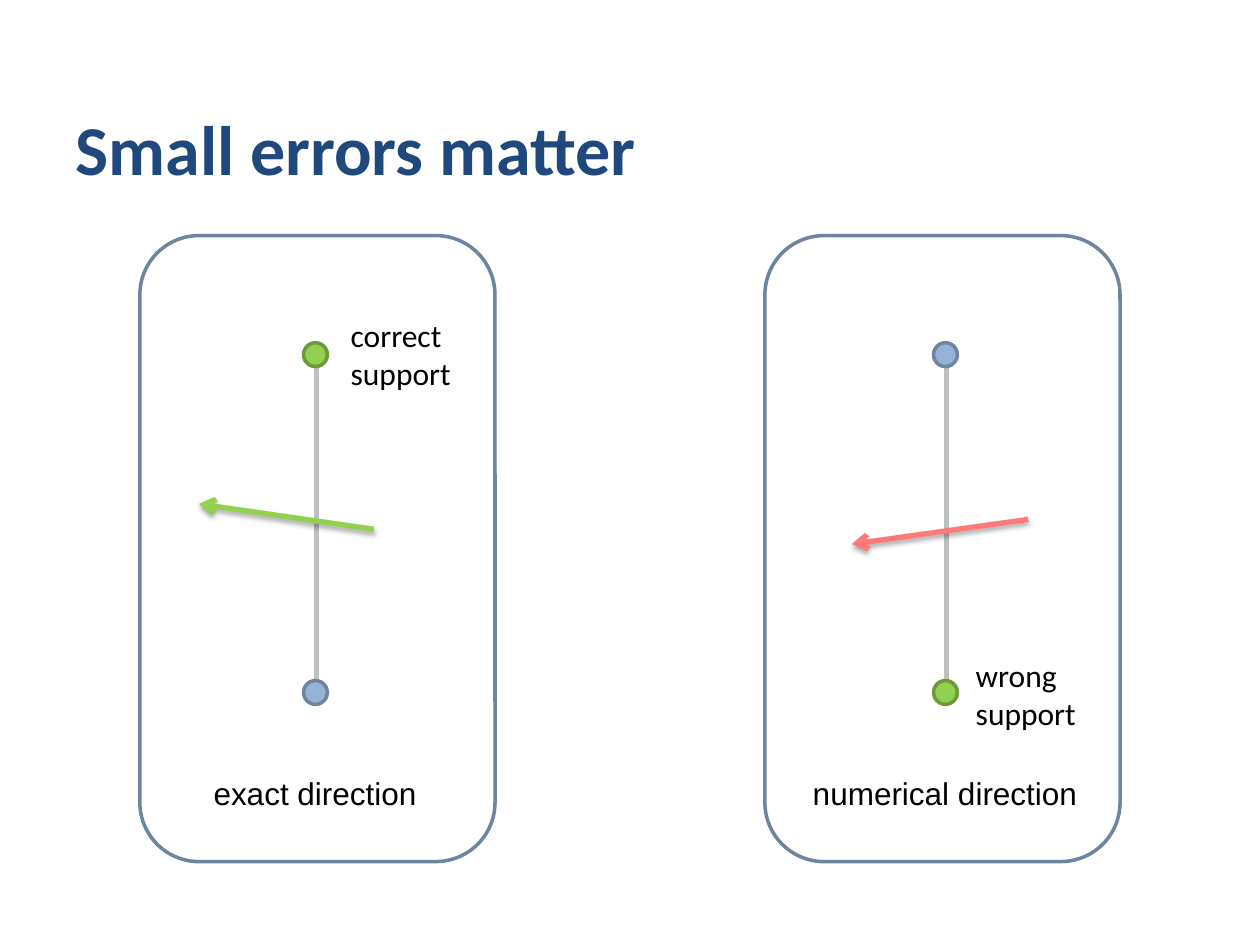
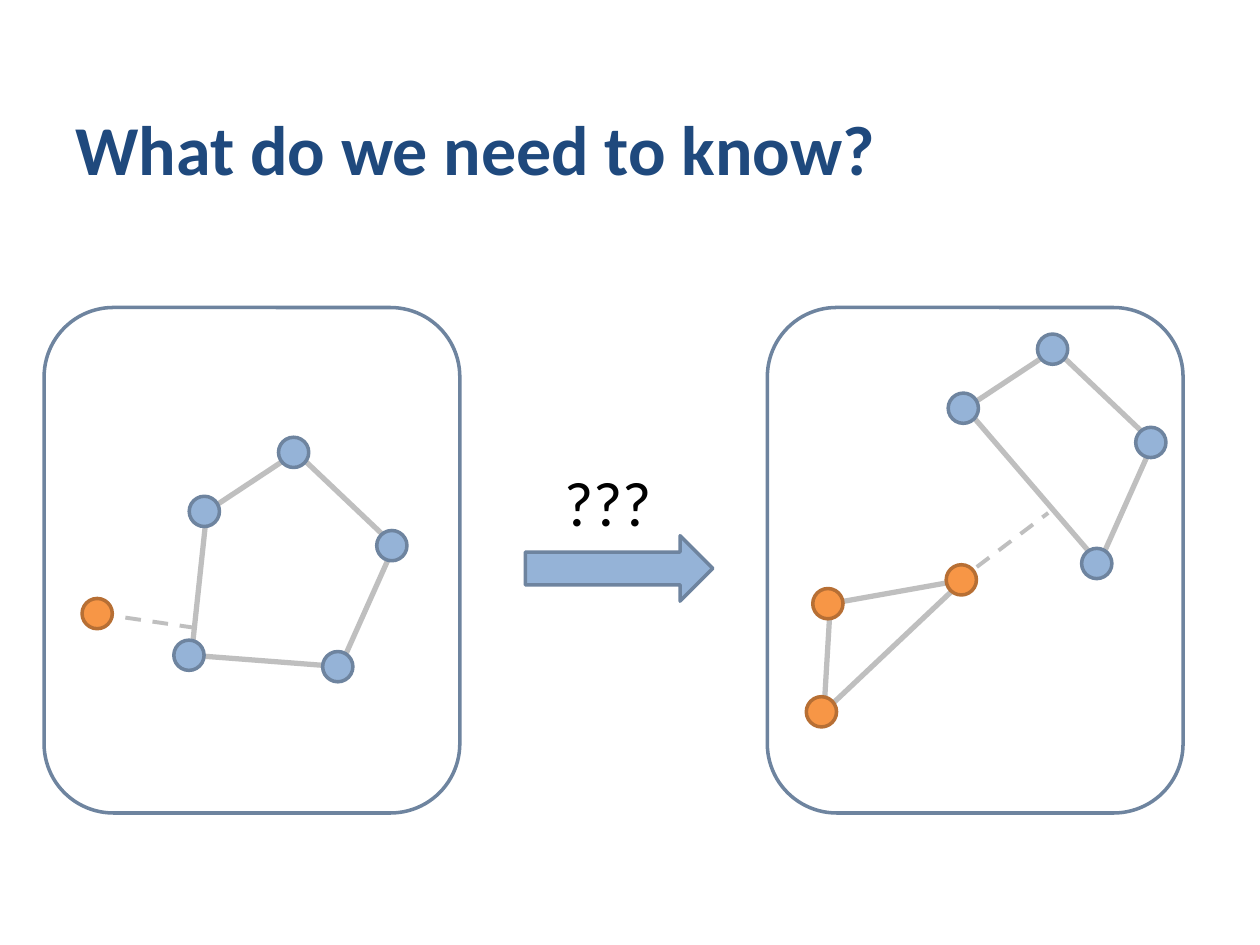
from lxml import etree
from pptx import Presentation
from pptx.dml.color import RGBColor
from pptx.enum.dml import MSO_LINE
from pptx.enum.shapes import MSO_CONNECTOR, MSO_SHAPE
from pptx.enum.text import MSO_ANCHOR, MSO_AUTO_SIZE, PP_ALIGN
from pptx.oxml.ns import qn
from pptx.util import Cm, Pt

STRAIGHT = MSO_CONNECTOR.STRAIGHT
OVAL, ROUNDED, RIGHT_ARROW = MSO_SHAPE.OVAL, MSO_SHAPE.ROUNDED_RECTANGLE, MSO_SHAPE.RIGHT_ARROW
DASH = MSO_LINE.DASH
BOTTOM = MSO_ANCHOR.BOTTOM
NO_FIT, FIT_SHAPE = MSO_AUTO_SIZE.NONE, MSO_AUTO_SIZE.SHAPE_TO_FIT_TEXT
LEFT = PP_ALIGN.LEFT

NAVY = RGBColor(0x1F, 0x49, 0x7D)
BLACK = RGBColor(0, 0, 0)
GRAY = RGBColor(0xBF, 0xBF, 0xBF)
BLUE = RGBColor(0x95, 0xB3, 0xD7)
BLUE_EDGE = RGBColor(0x6E, 0x84, 0x9F)
GREEN = RGBColor(0x92, 0xD0, 0x50)
GREEN_EDGE = RGBColor(0x6C, 0x9A, 0x3B)
ORANGE = RGBColor(0xF7, 0x96, 0x46)
ORANGE_EDGE = RGBColor(0xB7, 0x6F, 0x34)
RED = RGBColor(0xFF, 0x79, 0x79)
EDGES = {BLUE: BLUE_EDGE, GREEN: GREEN_EDGE, ORANGE: ORANGE_EDGE}

PENTAGON = [(3.23, 4.11), (5.03, 2.92), (7.01, 4.8), (5.92, 7.24), (2.92, 7.01)]
TRIANGLE = [(1.22, 5.97), (1.09, 8.15), (3.91, 5.49)]
OUTLINE_SHIFT = 0.05


def shift(points, dx, dy):
    return [(x + dx, y + dy) for x, y in points]


def write(tf, text, font="Calibri", size=18, color=BLACK, bold=False):
    for i, line in enumerate(text.split("\n")):
        p = tf.paragraphs[0] if i == 0 else tf.add_paragraph()
        p.alignment = LEFT
        r = p.add_run()
        r.text = line
        r.font.name, r.font.size, r.font.bold = font, Pt(size), bold
        r.font.color.rgb = color


def add_label(s, text, x, y, w, h, **fmt):
    tf = s.shapes.add_textbox(Cm(x), Cm(y), Cm(w), Cm(h)).text_frame
    tf.word_wrap = False
    tf.auto_size = FIT_SHAPE
    write(tf, text, **fmt)


def add_title_slide(prs, title):
    s = prs.slides.add_slide(prs.slide_layouts[5])
    sp = s.shapes.title
    sp.left, sp.top, sp.width, sp.height = Cm(1.27), Cm(0.33), Cm(20.96), Cm(3.61)
    tf = sp.text_frame
    tf.vertical_anchor, tf.auto_size = BOTTOM, NO_FIT
    write(tf, title, size=40, color=NAVY, bold=True)
    return s


def style(sp, fill, line, width=2):
    sp.shadow.inherit = False
    if fill is None:
        sp.fill.background()
    else:
        sp.fill.solid()
        sp.fill.fore_color.rgb = fill
    sp.line.color.rgb, sp.line.width = line, Pt(width)


def add_shape(s, kind, x, y, w, h, fill=None, line=BLUE_EDGE):
    sp = s.shapes.add_shape(kind, Cm(x), Cm(y), Cm(w), Cm(h))
    style(sp, fill, line)


def add_node(s, center, d, color):
    x, y = center
    add_shape(s, OVAL, x - d / 2, y - d / 2, d, d, color, EDGES[color])


def add_line(s, start, end, color=GRAY, width=3, dashed=False, arrow=False):
    (x1, y1), (x2, y2) = start, end
    c = s.shapes.add_connector(STRAIGHT, Cm(x1), Cm(y1), Cm(x2), Cm(y2))
    c.line.color.rgb, c.line.width = color, Pt(width)
    if dashed:
        c.line.dash_style = DASH
    sp_pr = c.line._get_or_add_ln().getparent()
    effects = etree.SubElement(sp_pr, qn("a:effectLst"))
    if arrow:
        etree.SubElement(sp_pr.find(qn("a:ln")), qn("a:tailEnd"), type="arrow")
        shadow = etree.SubElement(effects, qn("a:outerShdw"), blurRad=str(Pt(3.1)),
                                  dist=str(Pt(1.8)), dir="5400000", rotWithShape="0")
        black = etree.SubElement(shadow, qn("a:srgbClr"), val="000000")
        etree.SubElement(black, qn("a:alpha"), val="35000")


def add_polygon(s, nodes, color):
    points = [(Cm(x), Cm(y)) for x, y in shift(nodes, OUTLINE_SHIFT, 0)]
    builder = s.shapes.build_freeform(*points[0])
    builder.add_line_segments(points[1:], close=True)
    style(builder.convert_to_shape(), None, GRAY, 3)
    for node in nodes:
        add_node(s, node, 0.61, color)


def support_panel(s, x, y, axis, colors, arrow, arrow_color, label, label_y, caption, caption_w):
    top, bottom = 2.4, 9.21
    mid = x + axis
    add_line(s, (mid, y + 2.54), (mid, y + 9.25))
    for node_y, color in zip((top, bottom), colors):
        add_node(s, (mid - 0.02, y + node_y), 0.48, color)
    add_line(s, *shift(arrow, x, y), color=arrow_color, arrow=True)
    add_label(s, caption, mid - caption_w / 2, y + 10.72, caption_w, 1.02, font="Arial")
    add_shape(s, ROUNDED, x, y, 7.16, 12.62)
    add_label(s, label, x + 4, y + label_y, 2.54, 1.8)


def polygon_panel(s, x, y, polygons, gap, points=()):
    add_shape(s, ROUNDED, x, y, 8.38, 10.19)
    add_line(s, *shift(gap, x, y), width=2.25, dashed=True)
    for nodes, color in polygons:
        add_polygon(s, shift(nodes, x, y), color)
    for point in shift(points, x, y):
        add_node(s, point, 0.61, ORANGE)


def errors_slide(prs):
    s = add_title_slide(prs, "Small errors matter")
    top = 4.75
    support_panel(s, 2.82, top, 3.56, (GREEN, BLUE), [(4.72, 5.92), (1.19, 5.41)], GREEN,
                  "correct\nsupport", 1.5, "exact direction", 4.65)
    support_panel(s, 15.42, top, 3.66, (BLUE, GREEN), [(5.31, 5.72), (1.75, 6.22)], RED,
                  "wrong\nsupport", 8.36, "numerical direction", 5.89)


def question_slide(prs):
    s = add_title_slide(prs, "What do we need to know?")
    top = 6.2
    add_shape(s, RIGHT_ARROW, 10.59, 10.8, 3.78, 1.32, BLUE)
    add_label(s, "???", 11.13, 9.22, 2.29, 1.8, size=36)
    polygon_panel(s, 0.89, top, [(PENTAGON, BLUE)], [(1.09, 6.17), (3, 6.45)], [(1.07, 6.17)])
    quad = shift(PENTAGON[:4], 0.72, -2.08)
    polygon_panel(s, 15.47, top, [(quad, BLUE), (TRIANGLE, ORANGE)], [(4.22, 5.23), (5.66, 4.14)])


def main():
    prs = Presentation()
    prs.slide_width, prs.slide_height = Cm(25.4), Cm(19.05)
    errors_slide(prs)
    question_slide(prs)
    prs.save("out.pptx")


if __name__ == "__main__":
    main()
